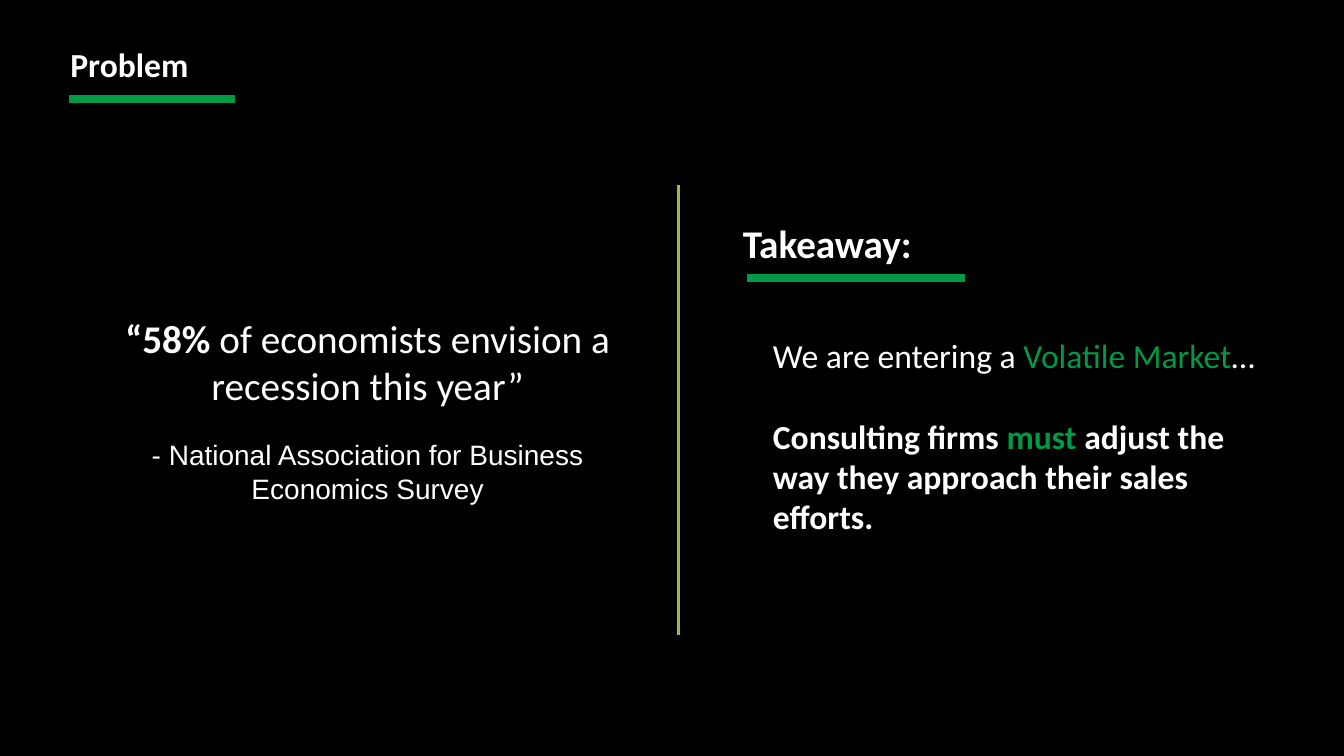
"""Build the Problem slide: a quoted survey result beside its takeaway."""
import pptx
import pptx.dml.color
import pptx.enum.shapes
import pptx.enum.text
import pptx.oxml
import pptx.util

Cm = pptx.util.Cm
Pt = pptx.util.Pt
ALIGN = pptx.enum.text.PP_ALIGN
BLACK = pptx.dml.color.RGBColor(0x00, 0x00, 0x00)
WHITE = pptx.dml.color.RGBColor(0xFF, 0xFF, 0xFF)
GREEN = pptx.dml.color.RGBColor(0x00, 0x9A, 0x44)
LIME = pptx.dml.color.RGBColor(0x97, 0xBE, 0x49)
EFFECT = '<a:effectLst xmlns:a="http://schemas.openxmlformats.org/drawingml/2006/main"/>'


class Page:
    """Hold the style and the current slide."""

    def __init__(self, deck):
        self.font = "Calibri"
        self.slide = deck.slides.add_slide(deck.slide_layouts[5])
        fill = self.slide.background.fill
        fill.solid()
        fill.fore_color.rgb = BLACK

    def frame(self, shape, pad=None):
        """Set up wrapping, anchor and margins of a text shape."""
        frame = shape.text_frame
        frame.word_wrap = True
        frame.auto_size = pptx.enum.text.MSO_AUTO_SIZE.NONE
        frame.vertical_anchor = pptx.enum.text.MSO_ANCHOR.TOP
        if pad is not None:
            frame.margin_left = frame.margin_right = Cm(pad)
            frame.margin_top = frame.margin_bottom = Cm(pad)
        return frame

    def title(self, text, left, top, width, height, size):
        """Place and format the title placeholder."""
        shape = self.slide.shapes.title
        shape.left, shape.top = Cm(left), Cm(top)
        shape.width, shape.height = Cm(width), Cm(height)
        para = self.frame(shape).paragraphs[0]
        self.para(para, [(text, WHITE, True)], size)

    def box(self, left, top, width, height, pad=None):
        """Add a text box and return its frame."""
        shape = self.slide.shapes.add_textbox(
            Cm(left), Cm(top), Cm(width), Cm(height))
        return self.frame(shape, pad)

    def para(self, para, runs, size, align=ALIGN.LEFT, gap=0, font=None):
        """Fill a paragraph run by run."""
        para.alignment = align
        para.space_before = Pt(gap)
        for text, color, bold in runs:
            run = para.add_run()
            run.text = text
            run.font.name = font or self.font
            run.font.size = Pt(size)
            run.font.bold = bold
            run.font.color.rgb = color

    def line(self, left, top, right, end, color, width):
        """Add a straight line without a shadow."""
        line = self.slide.shapes.add_connector(
            pptx.enum.shapes.MSO_CONNECTOR.STRAIGHT,
            Cm(left), Cm(top), Cm(right), Cm(end))
        line.line.color.rgb = color
        line.line.width = Pt(width)
        line._element.spPr.append(pptx.oxml.parse_xml(EFFECT))


def main():
    """Build and save the slide."""
    deck = pptx.Presentation()
    deck.slide_width, deck.slide_height = Cm(33.87), Cm(19.05)
    page = Page(deck)

    page.title("Problem", 1.52, 0.97, 16.94, 1.27, 24)
    page.line(1.75, 2.49, 5.92, 2.49, GREEN, 6)

    quote = page.box(2.13, 7.92, 14.27, 4.85, pad=0)
    page.para(quote.paragraphs[0], [
        ("“58% ", WHITE, True),
        ("of economists envision a recession this year”", WHITE, False),
    ], 28, ALIGN.CENTER, gap=2)
    page.para(quote.add_paragraph(), [
        ("- National Association for Business Economics Survey", WHITE, False),
    ], 20, ALIGN.CENTER, gap=21, font="Arial")

    page.line(17.1, 4.67, 17.1, 16, LIME, 1.5)

    head = page.box(18.47, 5.41, 14, 1.45)
    page.para(head.paragraphs[0], [("Takeaway:", WHITE, True)], 28)
    page.line(18.82, 7.01, 24.31, 7.01, GREEN, 6)

    body = page.box(19.23, 8.31, 12.7, 6.4)
    page.para(body.paragraphs[0], [
        ("We are entering a ", WHITE, False),
        ("Volatile Market", GREEN, False),
        ("…", WHITE, False),
    ], 24)
    page.para(body.add_paragraph(), [
        ("Consulting firms ", WHITE, True),
        ("must", GREEN, True),
        (" adjust the way they approach their sales efforts.", WHITE, True),
    ], 24, gap=29)

    deck.save("out.pptx")


if __name__ == "__main__":
    main()
